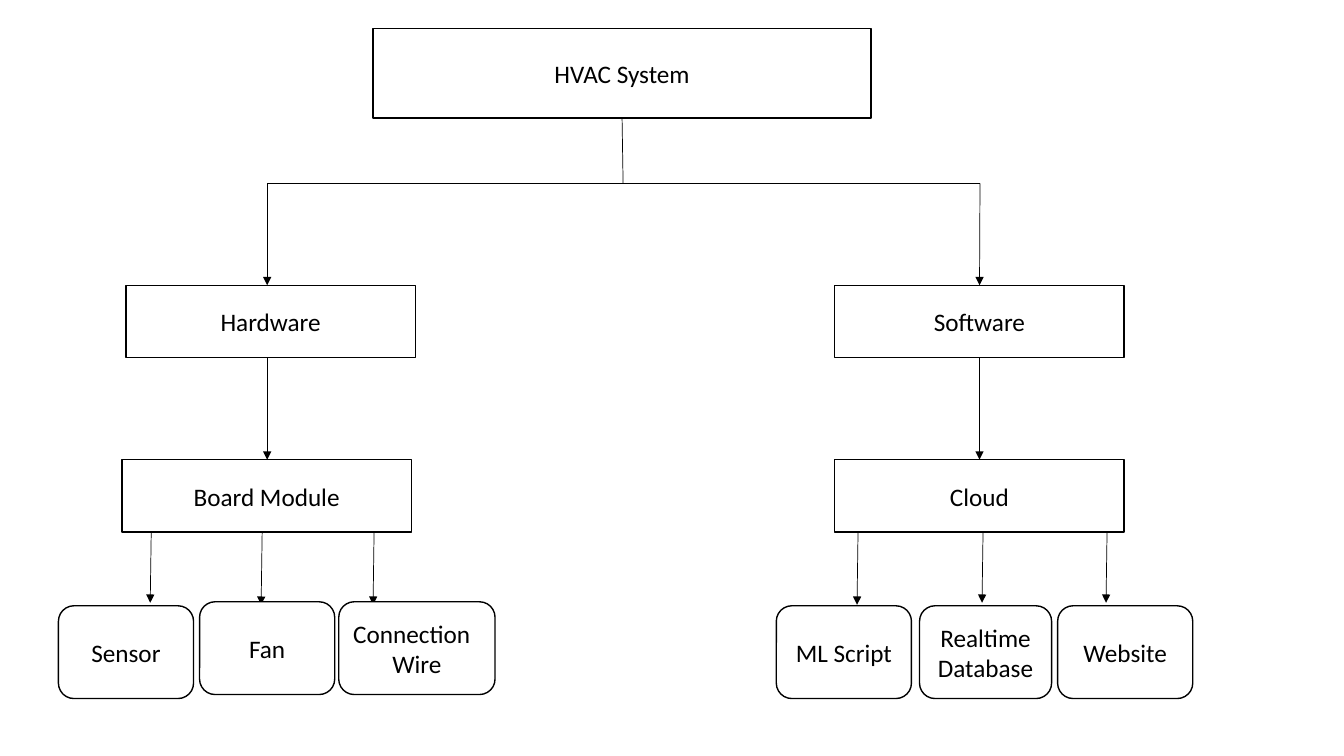
from lxml import etree
from pptx import Presentation
from pptx import util as u
from pptx.dml.color import RGBColor
from pptx.enum import shapes, text
from pptx.oxml.ns import qn

PX = 9144  # EMU per px, 100 px to the inch
COLORS = {"ink": "000000", "paper": "FFFFFF"}
CENTER, LEFT = text.PP_ALIGN.CENTER, text.PP_ALIGN.LEFT

# Content: label, left, top, width, height
BLOCKS = [
    ("HVAC System", 370, 28, 494, 89),
    ("Hardware", 125, 283, 287, 72),
    ("Software", 828, 283, 287, 72),
    ("Board Module", 121, 456, 287, 72),
    ("Cloud", 828, 456, 287, 72),
]

# Leaves: lines of text, left, top, width, alignment of the first line
LEAF_HEIGHT = 92
LEAVES = [
    (["ML Script"], 770, 601, 134, CENTER),
    (["Realtime", "Database"], 912, 601, 131, CENTER),
    (["Website"], 1049, 601, 134, CENTER),
    (["Sensor"], 58, 601, 134, CENTER),
    (["Fan"], 198, 597, 134, CENTER),
    (["Connection", "Wire"], 336, 597, 155, LEFT),
]

# Connectors: the trunk splits at BUS_Y into two branches
TRUNK_X, BUS_Y = 618, 182
BRANCHES = [(265, None, None), (972, "Software", "Cloud")]
LEVELS = [(BUS_Y, 283), (355, 456)]
LEAF_ARROWS = [(150, 527), (260, 529), (371, 529),
               (851, 529), (975, 527), (1098, 527)]
LEAF_ARROW_DROP = 71

deck = Presentation()
deck.slide_width, deck.slide_height = u.Inches(13.33), u.Inches(7.5)
page = deck.slides.add_slide(deck.slide_layouts[6])


def color(name):
    return RGBColor.from_string(COLORS[name])


def write(frame, lines, size=18, font="Calibri", ink="ink", first=CENTER):
    frame.word_wrap = True
    frame.vertical_anchor = text.MSO_ANCHOR.MIDDLE
    for index, line in enumerate(lines):
        para = frame.add_paragraph() if index else frame.paragraphs[0]
        para.alignment = CENTER if index else first
        span = para.add_run()
        span.text = line
        span.font.size, span.font.name = u.Pt(size), font
        span.font.color.rgb = color(ink)


def add_box(kind, lines, left, top, width, height, **style):
    box = page.shapes.add_shape(
        kind, left * PX, top * PX, width * PX, height * PX)
    box.shadow.inherit = False
    box.fill.solid()
    box.fill.fore_color.rgb = color("paper")
    box.line.color.rgb = color("ink")
    box.line.width = u.Pt(1)
    write(box.text_frame, lines, **style)
    return box


def add_line(x1, y1, x2, y2, arrow=False, start=None, end=None):
    line = page.shapes.add_connector(
        shapes.MSO_CONNECTOR.STRAIGHT, x1 * PX, y1 * PX, x2 * PX, y2 * PX)
    line.line.color.rgb = color("ink")
    line.line.width = u.Pt(0.5)
    if arrow:
        tail = etree.SubElement(line.line._get_or_add_ln(), qn("a:tailEnd"))
        tail.set("type", "triangle")
    etree.SubElement(line._element.spPr, qn("a:effectLst"))
    if start is not None:
        line.begin_connect(start, 2)
    if end is not None:
        line.end_connect(end, 0)


# Main blocks
blocks = {}
for label, *place in BLOCKS:
    blocks[label] = add_box(shapes.MSO_SHAPE.RECTANGLE, [label], *place)

# Trunk and branches
add_line(TRUNK_X, 117, TRUNK_X, BUS_Y, start=blocks["HVAC System"])
for x, upper, lower in BRANCHES:
    add_line(TRUNK_X, BUS_Y, x, BUS_Y)
    joints = [(None, upper), (upper, lower)]
    for (top, bottom), (source, target) in zip(LEVELS, joints):
        add_line(x, top, x, bottom, arrow=True,
                 start=blocks.get(source), end=blocks.get(target))

# Arrows to the leaves, then the leaves over them
for x, top in LEAF_ARROWS:
    add_line(x, top, x - 1, top + LEAF_ARROW_DROP, arrow=True)
for lines, left, top, width, first in LEAVES:
    add_box(shapes.MSO_SHAPE.ROUNDED_RECTANGLE, lines,
            left, top, width, LEAF_HEIGHT, first=first)

deck.save("out.pptx")
